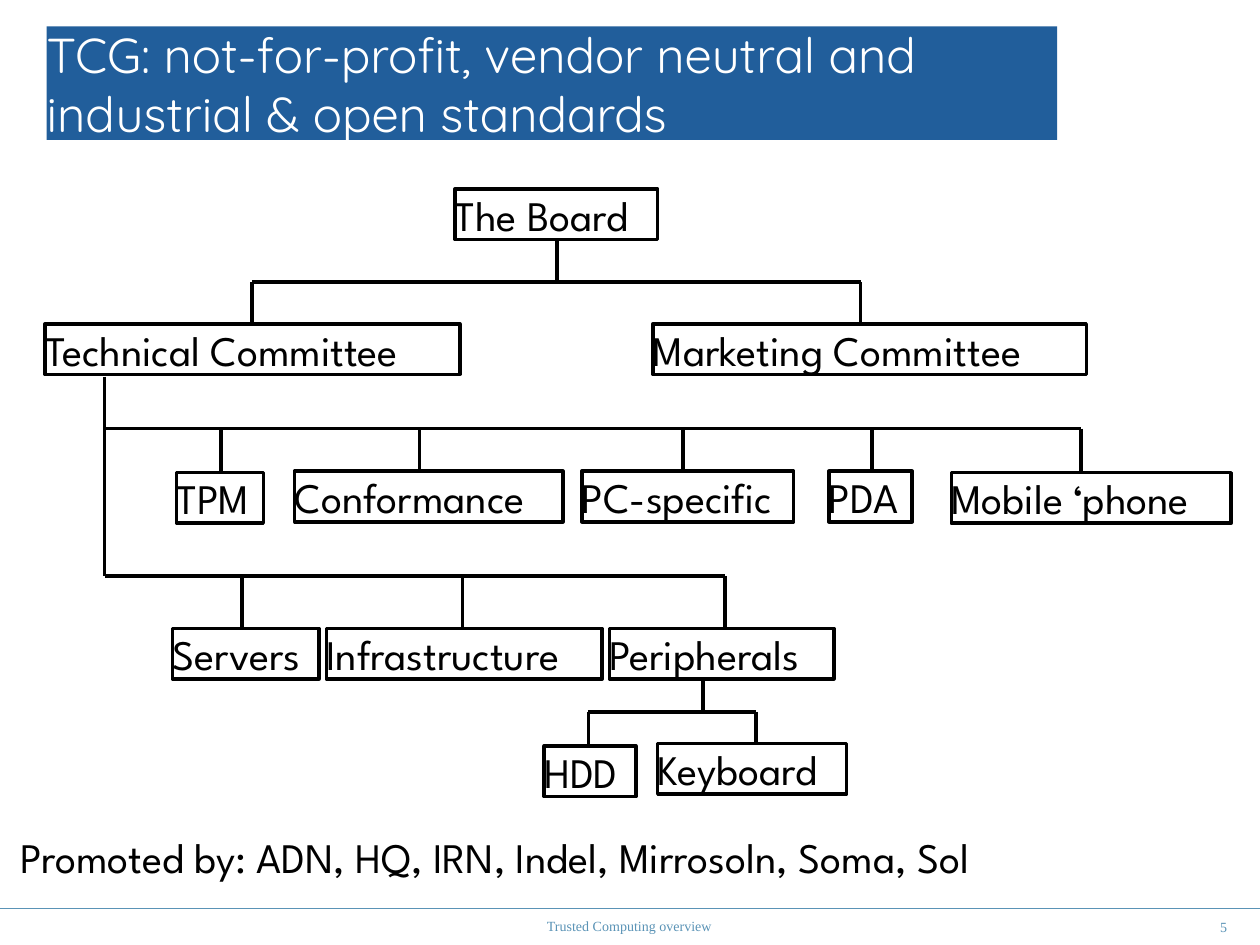
from dataclasses import dataclass

from lxml import etree
from pptx import Presentation
from pptx.dml.color import RGBColor
from pptx.enum import shapes, text
from pptx.oxml import ns
from pptx.util import Cm, Pt

BLUE = RGBColor(0x21, 0x5E, 0x9B)
FOOTER_BLUE = RGBColor(0x5A, 0x93, 0xB6)
BLACK = RGBColor(0, 0, 0)
WHITE = RGBColor(255, 255, 255)

TITLE = dict(name="Quicksand", size=Pt(28), color=WHITE)
BODY = dict(name="League Spartan", size=Pt(24), color=BLACK)
FOOTER = dict(name="Times New Roman", size=Pt(8), color=FOOTER_BLUE)
BOX_HEIGHT = 1.02


@dataclass
class Unit:
    """A named box; lengths in cm."""
    name: str
    left: float
    top: float
    width: float


@dataclass
class Branch:
    """A stem down to a bar, and drops from the bar to the units below."""
    stem: float
    top: float
    bar: float
    drops: tuple[float, ...]
    bottom: float


UNITS = [
    Unit("The Board", 9.17, 3.81, 4.09),
    Unit("Technical Committee", 0.91, 6.53, 8.36),
    Unit("Marketing Committee", 13.16, 6.53, 8.74),
    Unit("TPM", 3.56, 9.53, 1.75),
    Unit("Conformance", 5.94, 9.5, 5.41),
    Unit("PC-specific", 11.73, 9.5, 4.27),
    Unit("PDA", 16.71, 9.5, 1.68),
    Unit("Mobile ‘phone", 19.18, 9.53, 5.64),
    Unit("Servers", 3.48, 12.67, 2.95),
    Unit("Infrastructure", 6.58, 12.67, 5.56),
    Unit("Peripherals", 12.29, 12.67, 4.52),
    Unit("HDD", 10.97, 15.04, 1.85),
    Unit("Keyboard", 13.26, 14.99, 3.81),
]
BRANCHES = [
    Branch(11.23, 4.83, 5.69, (5.08, 17.35), 6.53),
    Branch(2.11, 7.59, 8.64, (4.45, 8.46, 13.77, 17.58, 21.79), 9.5),
    Branch(2.11, 8.64, 11.61, (4.88, 9.32, 14.61), 12.67),
    Branch(14.17, 13.72, 14.35, (11.86, 15.24), 14.99),
]


def write(shape, words: str, style: dict, anchor=text.MSO_ANCHOR.MIDDLE,
          align=text.PP_ALIGN.LEFT, wrap: bool = True) -> None:
    frame = shape.text_frame
    frame_format = dict(margin_left=0, margin_top=0, margin_right=0, margin_bottom=0,
                        auto_size=text.MSO_AUTO_SIZE.NONE, word_wrap=wrap,
                        vertical_anchor=anchor)
    for key, value in frame_format.items():
        setattr(frame, key, value)
    paragraph = frame.paragraphs[0]
    paragraph.alignment = align
    run = paragraph.add_run()
    run.text = words
    for key, value in style.items():
        if key == "color":
            run.font.color.rgb = value
        else:
            setattr(run.font, key, value)


def add_label(slide, words: str, place: tuple[float, ...], style: dict, **options) -> None:
    label = slide.shapes.add_textbox(*map(Cm, place))
    write(label, words, style, **options)


def add_unit(slide, unit: Unit) -> None:
    box = slide.shapes.add_shape(shapes.MSO_SHAPE.RECTANGLE, Cm(unit.left), Cm(unit.top),
                                 Cm(unit.width), Cm(BOX_HEIGHT))
    box.shadow.inherit = False
    box.fill.background()
    box.line.color.rgb = BLACK
    box.line.width = Pt(2)
    write(box, unit.name, BODY, anchor=text.MSO_ANCHOR.BOTTOM, wrap=False)


def add_line(slide, x1: float, y1: float, x2: float, y2: float,
             color: RGBColor = BLACK, width: float = 2) -> None:
    line = slide.shapes.add_connector(shapes.MSO_CONNECTOR.STRAIGHT,
                                      *map(Cm, (x1, y1, x2, y2)))
    line.line.color.rgb = color
    line.line.width = Pt(width)
    etree.SubElement(line._element.spPr, ns.qn("a:effectLst"))


def add_branch(slide, branch: Branch) -> None:
    ends = (branch.stem, *branch.drops)
    add_line(slide, branch.stem, branch.top, branch.stem, branch.bar)
    add_line(slide, min(ends), branch.bar, max(ends), branch.bar)
    for x in branch.drops:
        add_line(slide, x, branch.bar, x, branch.bottom)


def main() -> None:
    deck = Presentation()
    deck.slide_width, deck.slide_height = Cm(25.4), Cm(19.05)
    slide = deck.slides.add_slide(deck.slide_layouts[5])

    # Title band
    title = slide.shapes.title
    title.left, title.top, title.width, title.height = map(Cm, (0.94, 0.53, 20.37, 2.29))
    title.fill.solid()
    title.fill.fore_color.rgb = BLUE
    write(title, "TCG: not-for-profit, vendor neutral and industrial & open standards", TITLE)

    # Organisation chart
    for branch in BRANCHES:
        add_branch(slide, branch)
    for unit in UNITS:
        add_unit(slide, unit)

    # Promoters, under invented names
    add_label(slide, "Promoted by: ADN, HQ, IRN, Indel, Mirrosoln, Soma, Sol",
              (0.41, 16.76, 21.97, BOX_HEIGHT), BODY,
              anchor=text.MSO_ANCHOR.BOTTOM, wrap=False)

    # Footer
    add_line(slide, 0, 18.31, 25.4, 18.31, FOOTER_BLUE, 0.75)
    add_label(slide, "Trusted Computing overview", (4.32, 18.47, 16.74, 0.41), FOOTER,
              align=text.PP_ALIGN.CENTER)
    add_label(slide, "5", (23.62, 18.49, 1.12, 0.38), FOOTER, align=text.PP_ALIGN.RIGHT)

    deck.save("out.pptx")


if __name__ == "__main__":
    main()
